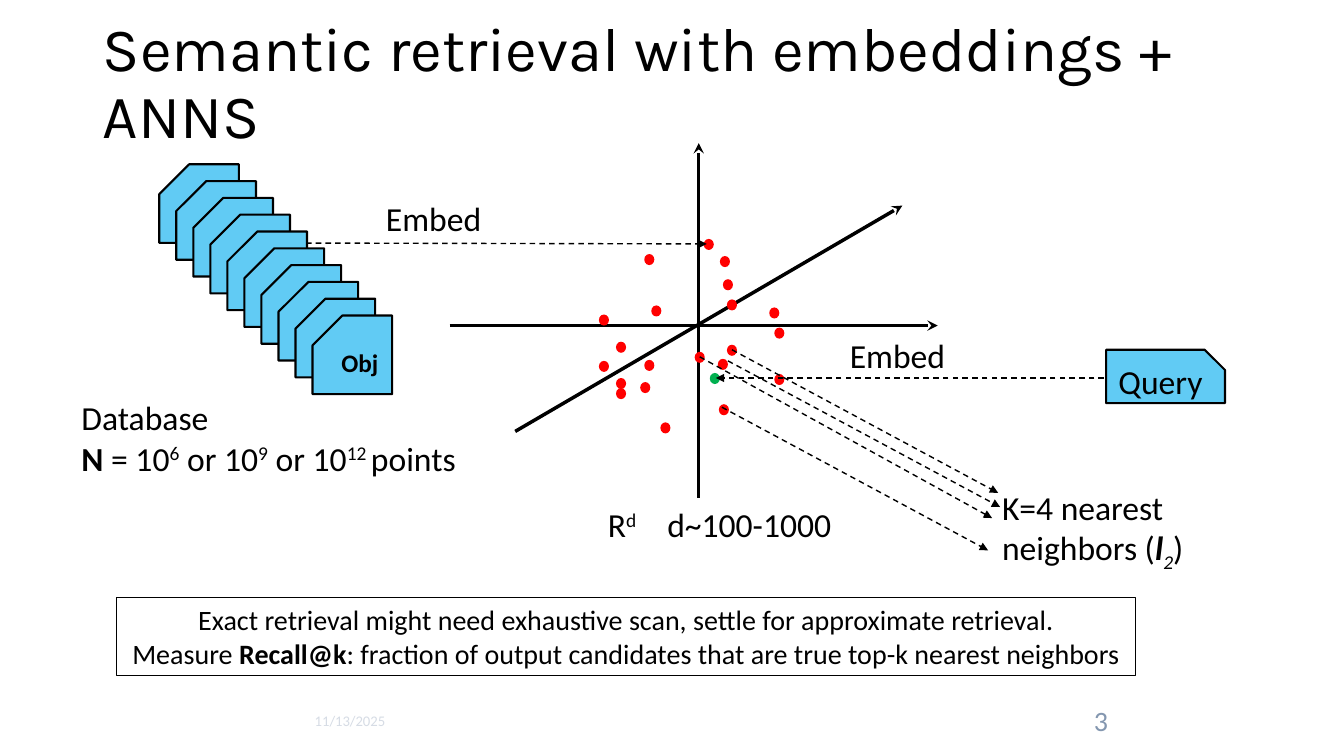
from typing import NamedTuple

from lxml.etree import SubElement
from pptx import Presentation
from pptx.dml.color import RGBColor
from pptx.enum.dml import MSO_LINE_DASH_STYLE as Dash
from pptx.enum.shapes import MSO_CONNECTOR as Conn, MSO_SHAPE as Kind
from pptx.enum.text import MSO_ANCHOR as Anchor, MSO_AUTO_SIZE as Fit, PP_ALIGN as Align
from pptx.oxml.ns import qn
from pptx.util import Inches, Pt

BLACK = RGBColor(0x00, 0x00, 0x00)
BLUE = RGBColor(0x61, 0xCB, 0xF4)
RED = RGBColor(0xFF, 0x00, 0x00)
GREEN = RGBColor(0x00, 0xB0, 0x50)
PALE = RGBColor(0xD6, 0xDC, 0xE5)
SLATE = RGBColor(0x84, 0x97, 0xB0)


class Run(NamedTuple):
    text: str
    form: dict = {}
    base: int = 0  # percent above or below the baseline


class Box(NamedTuple):
    area: tuple
    paras: list
    size: float = 24
    color: RGBColor = BLACK
    align: Align = Align.LEFT
    anchor: Anchor = Anchor.TOP
    wrap: bool = True
    edge: float = 0


class Arrow(NamedTuple):
    start: tuple
    end: tuple


BOLD = {"bold": True}

AXES = [
    Arrow((5.11, 4.28), (8.95, 2.04)),
    Arrow((4.46, 3.23), (9.3, 3.23)),
    Arrow((6.93, 4.94), (6.93, 1.42)),
]
LINKS = [
    Arrow((2.36, 2.41), (7.01, 2.42)),
    Arrow((10.95, 3.75), (7.1, 3.75)),
    Arrow((7.22, 3.58), (9.92, 5.03)),
    Arrow((7.26, 3.47), (9.9, 4.89)),
    Arrow((6.94, 3.54), (9.84, 5.14)),
    Arrow((7.16, 4.04), (9.8, 5.46)),
]
POINTS = [
    (6.98, 2.37), (7.14, 2.54), (6.39, 2.52), (6.11, 3.85), (7.63, 3.05),
    (5.94, 3.58), (6.11, 3.75), (7.68, 3.71), (6.46, 3.03), (6.55, 4.19),
    (7.13, 4.01), (6.11, 3.39), (5.94, 3.12), (6.39, 3.57), (7.68, 3.25),
    (7.12, 3.56), (6.89, 3.49), (6.35, 3.79), (7.17, 2.77), (7.21, 3.42),
    (7.21, 2.97),
]
SPACE = Box((5.93, 4.95, 2.49, 0.5), [[Run("R"), Run("d", base=30), Run("\td~100-1000")]])
BOXES = [
    Box((3.73, 1.91, 1.15, 0.5), [[Run("Embed")]], wrap=False),
    Box((8.33, 3.27, 1.15, 0.5), [[Run("Embed")]], wrap=False),
    Box((0.71, 3.89, 4.06, 1.18), [
        [Run("Database")],
        [Run("N ", BOLD), Run("= 10"), Run("6", base=30), Run(" or 10"),
         Run("9", base=30), Run(" or 10"), Run("12 ", base=30), Run("points")],
    ]),
    Box((9.84, 4.78, 2.23, 0.91), [
        [Run("K=4 nearest neighbors ("), Run("l", {"bold": True, "italic": True}),
         Run("2", {"italic": True}, -25), Run(")")],
    ]),
    Box((1.16, 5.93, 10.1, 0.77), [
        [Run("Exact retrieval might need exhaustive scan, settle for approximate retrieval.")],
        [Run("Measure "), Run("Recall@k", BOLD),
         Run(": fraction of output candidates that are true top-k nearest neighbors")],
    ], size=20, align=Align.CENTER, edge=0.75),
    Box((0.92, 6.95, 3, 0.4), [[Run("11/13/2025")]], 10.5, PALE, Align.RIGHT, Anchor.MIDDLE),
    Box((9.42, 6.95, 3, 0.4), [[Run("3")]], 20, SLATE, Align.CENTER, Anchor.MIDDLE),
]


def style(item, form: dict) -> None:
    for key, value in form.items():
        setattr(item, key, value)


def write(frame, paras: list, form: dict, color: RGBColor, align: Align) -> None:
    for i, runs in enumerate(paras):
        para = frame.add_paragraph() if i else frame.paragraphs[0]
        para.alignment = align
        for part in runs:
            run = para.add_run()
            run.text = part.text
            style(run.font, form | part.form)
            run.font.color.rgb = color
            if part.base:
                run.font._element.set("baseline", str(part.base * 1000))


def add_box(slide, box: Box):
    shape = slide.shapes.add_textbox(*map(Inches, box.area))
    frame = shape.text_frame
    style(frame, {"word_wrap": box.wrap, "vertical_anchor": box.anchor})
    write(frame, box.paras, {"name": "Calibri", "size": Pt(box.size)}, box.color, box.align)
    if box.edge:
        shape.line.color.rgb = BLACK
        shape.line.width = Pt(box.edge)
    return shape


def add_dot(slide, spot: tuple, color: RGBColor) -> None:
    dot = slide.shapes.add_shape(Kind.OVAL, *map(Inches, (*spot, 0.1, 0.11)))
    dot.shadow.inherit = False
    dot.fill.solid()
    dot.fill.fore_color.rgb = color
    dot.line.fill.background()


def add_card(slide, area: tuple, text: str, form: dict, flip: bool = False) -> None:
    card = slide.shapes.add_shape(Kind.SNIP_1_RECTANGLE, *map(Inches, area))
    card.shadow.inherit = False
    card.adjustments[0] = 0.38
    card.fill.solid()
    card.fill.fore_color.rgb = BLUE
    card.line.color.rgb = BLACK
    card.line.width = Pt(1.5)
    if flip:
        card._element.spPr.find(qn("a:xfrm")).set("flipH", "1")
    if text:
        card.text_frame.vertical_anchor = Anchor.MIDDLE
        write(card.text_frame, [[Run(text)]], {"name": "Calibri"} | form, BLACK, Align.CENTER)


def add_arrow(slide, arrow: Arrow, width: float, head: str, dash: Dash = Dash.SOLID) -> None:
    ends = map(Inches, (*arrow.start, *arrow.end))
    link = slide.shapes.add_connector(Conn.STRAIGHT, *ends)
    link.line.color.rgb = BLACK
    style(link.line, {"width": Pt(width), "dash_style": dash})
    SubElement(link.line._get_or_add_ln(), qn("a:tailEnd"), type=head)
    SubElement(link._element.spPr, qn("a:effectLst"))


def main() -> None:
    deck = Presentation()
    style(deck, {"slide_width": Inches(13.33), "slide_height": Inches(7.5)})
    slide = deck.slides.add_slide(deck.slide_layouts[5])

    # Title
    title = slide.shapes.title
    spot = zip(("left", "top", "width", "height"), map(Inches, (0.92, 0.12, 11.5, 1.45)))
    style(title, dict(spot))
    frame = title.text_frame
    style(frame, {"auto_size": Fit.NONE, "vertical_anchor": Anchor.MIDDLE})
    write(frame, [[Run("Semantic retrieval with embeddings + ANNS")]],
          {"name": "Karla", "size": Pt(44)}, BLACK, Align.LEFT)
    frame.paragraphs[0].line_spacing = 0.9

    # Vector space with its points
    for axis in AXES:
        add_arrow(slide, axis, 2.5, "stealth")
    for point in POINTS:
        add_dot(slide, point, RED)
    add_dot(slide, (7.04, 3.7), GREEN)
    for link in LINKS:
        add_arrow(slide, link, 1, "triangle", Dash.DASH)

    # Stack of objects and the query
    last = 9
    for i in range(last + 1):
        area = (1.58 + 1.52 * i / last, 1.63 + 1.5 * i / last, 0.79, 0.78)
        add_card(slide, area, "Obj" if i == last else "", BOLD | {"size": Pt(18)}, flip=True)
    add_card(slide, (10.97, 3.47, 1.18, 0.53), "Query", {"size": Pt(24)})

    # Labels, with a tab stop between the space and its dimension
    for box in BOXES:
        add_box(slide, box)
    label = add_box(slide, SPACE)
    props = label.text_frame.paragraphs[0]._p.get_or_add_pPr()
    tabs = SubElement(props, qn("a:tabLst"))
    SubElement(tabs, qn("a:tab"), pos=str(Inches(0.59)), algn="l")

    deck.save("out.pptx")


if __name__ == "__main__":
    main()
